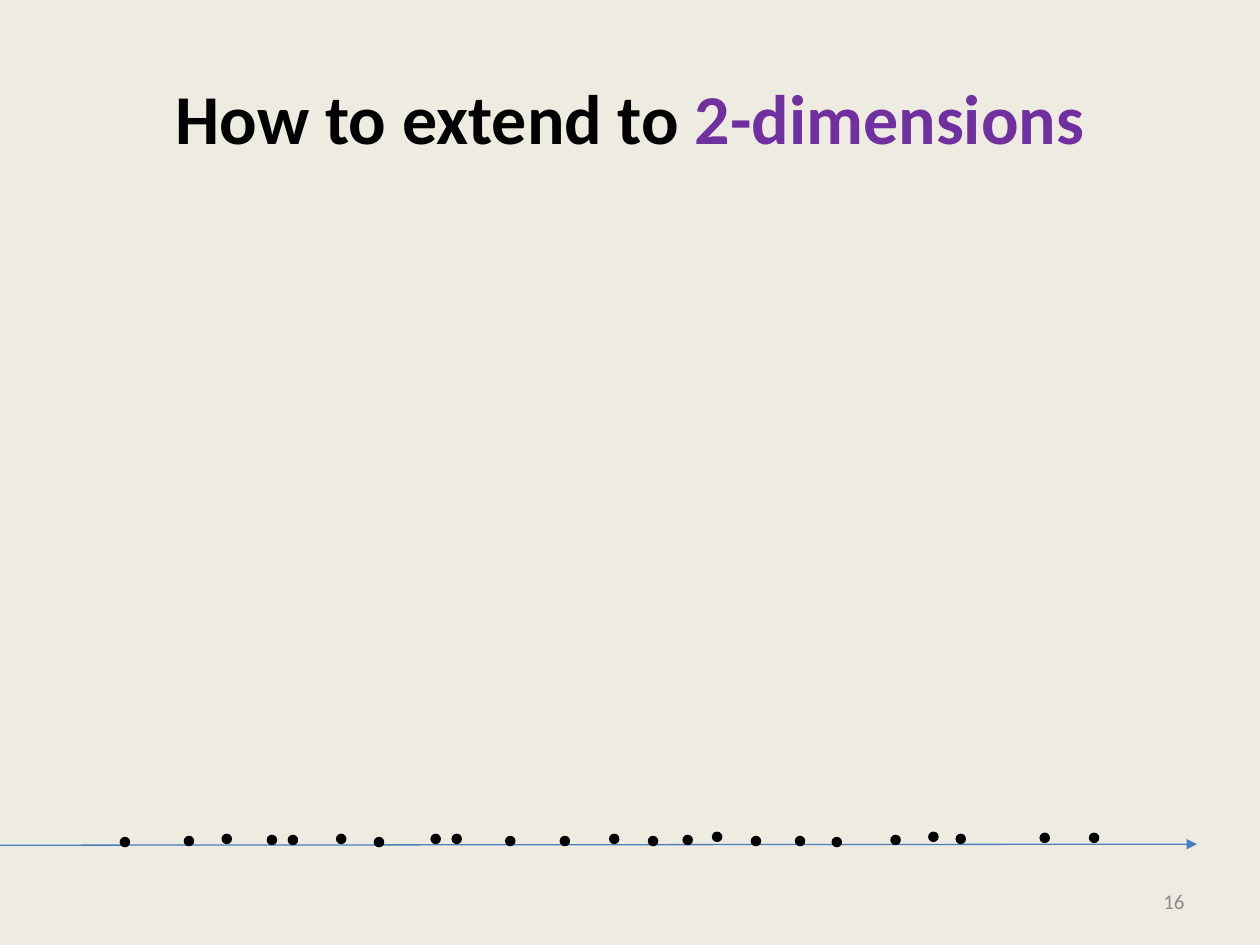
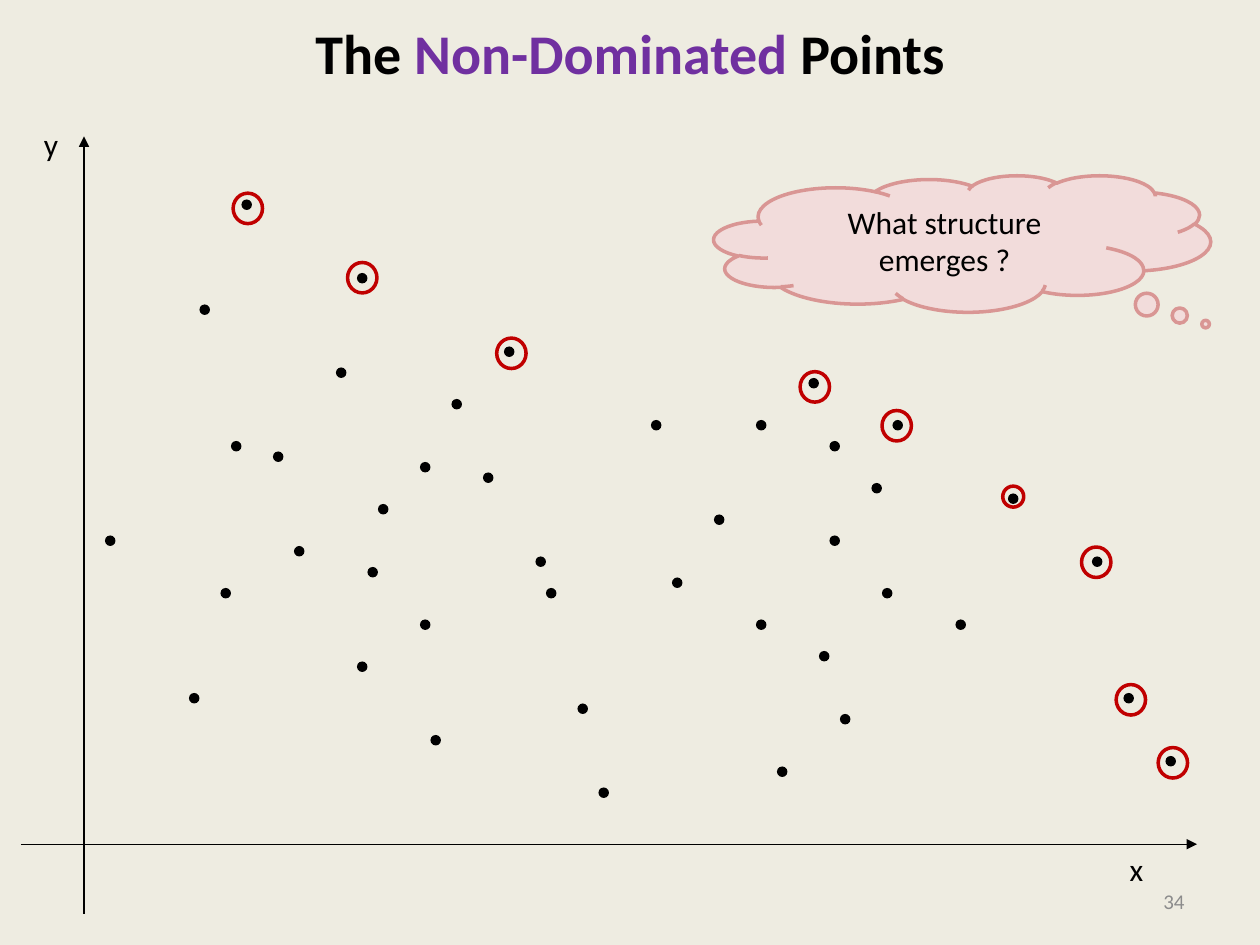
from dataclasses import dataclass

from lxml import etree
from pptx import Presentation
from pptx.dml.color import RGBColor
from pptx.enum.shapes import MSO_CONNECTOR, MSO_SHAPE
from pptx.enum.text import MSO_ANCHOR, MSO_AUTO_SIZE, PP_ALIGN
from pptx.oxml.ns import qn
from pptx.util import Emu, Pt

EMU_PER_PX = 7620  # 120 px to the inch
GRID = 10  # px between the grid lines of the point cloud
DOT_SIZE = 10
TITLE_ONLY = 5
FONT = "Calibri"

OVAL = MSO_SHAPE.OVAL
CLOUD = MSO_SHAPE.CLOUD_CALLOUT
STRAIGHT = MSO_CONNECTOR.STRAIGHT
LEFT, CENTER, RIGHT = PP_ALIGN.LEFT, PP_ALIGN.CENTER, PP_ALIGN.RIGHT
TOP, MIDDLE = MSO_ANCHOR.TOP, MSO_ANCHOR.MIDDLE

BACKGROUND = "EEECE1"
BLACK = "000000"
PURPLE = "7030A0"
GRAY = "8C8C8C"
BLUE = "4B7EBC"
RED = "C00000"
PINK = "F2DCDB"
ROSE = "D99694"


@dataclass(frozen=True)
class Box:
    left: int
    top: int
    width: int
    height: int

    def emu(self) -> tuple[Emu, ...]:
        return tuple(px(n) for n in (self.left, self.top, self.width, self.height))


@dataclass(frozen=True)
class Run:
    text: str
    color: str = BLACK


@dataclass(frozen=True)
class Axis:
    start: tuple[int, int]
    end: tuple[int, int]
    color: str = BLACK
    arrow: str = "tailEnd"


# Left and top of each dot along the single axis, in px
LINE_DOTS = [
    (114, 797), (175, 796), (211, 794), (254, 795), (274, 795), (320, 794),
    (356, 797), (410, 794), (430, 794), (481, 796), (533, 796), (580, 794),
    (617, 796), (650, 795), (678, 792), (715, 796), (757, 796), (792, 797),
    (848, 795), (884, 792), (910, 794), (990, 793), (1037, 793),
]

# Column and row of each dot in the plane, in grid steps
PLANE_DOTS = [
    (10, 51), (18, 66), (19, 29), (21, 56), (22, 42), (23, 19), (26, 43),
    (28, 52), (32, 35), (34, 26), (34, 63), (35, 54), (36, 48), (40, 44),
    (40, 59), (41, 70), (43, 38), (46, 45), (48, 33), (51, 53), (52, 56),
    (55, 67), (57, 75), (62, 40), (64, 55), (68, 49), (72, 40), (72, 59),
    (74, 73), (77, 36), (78, 62), (79, 42), (79, 51), (80, 68), (83, 46),
    (84, 56), (85, 40), (91, 59), (96, 47), (104, 53), (107, 66), (111, 72),
]

# Rings around the non-dominated points; one is smaller
RING_CORNERS = [
    (222, 184), (331, 250), (473, 322), (762, 354),
    (840, 391), (1030, 521), (1063, 652), (1103, 712),
]
RINGS = [Box(left, top, 28, 29) for left, top in RING_CORNERS]
RINGS.append(Box(955, 463, 20, 20))


def px(length: int) -> Emu:
    return Emu(length * EMU_PER_PX)


def rgb(color: str) -> RGBColor:
    return RGBColor.from_string(color)


def write_text(shape, runs: list[Run], *, size: int, bold: bool = False,
               align=LEFT, anchor=MIDDLE, wrap: bool = True) -> None:
    frame = shape.text_frame
    frame.word_wrap = wrap
    frame.auto_size = MSO_AUTO_SIZE.NONE if wrap else MSO_AUTO_SIZE.SHAPE_TO_FIT_TEXT
    frame.vertical_anchor = anchor
    paragraph = frame.paragraphs[0]
    paragraph.alignment = align
    for item in runs:
        run = paragraph.add_run()
        run.text = item.text
        run.font.name = FONT
        run.font.size = Pt(size)
        run.font.bold = bold
        run.font.color.rgb = rgb(item.color)


def add_text(slide, box: Box, run: Run, **text_format) -> None:
    write_text(slide.shapes.add_textbox(*box.emu()), [run], **text_format)


def add_figure(slide, kind, box: Box, *, fill: str = "", line: str = ""):
    shape = slide.shapes.add_shape(kind, *box.emu())
    shape.shadow.inherit = False
    if fill:
        shape.fill.solid()
        shape.fill.fore_color.rgb = rgb(fill)
    else:
        shape.fill.background()
    if line:
        shape.line.color.rgb = rgb(line)
        shape.line.width = Pt(2)
    else:
        shape.line.fill.background()
    return shape


def add_dot(slide, left: int, top: int) -> None:
    add_figure(slide, OVAL, Box(left, top, DOT_SIZE, DOT_SIZE), fill=BLACK)


def add_axis(slide, axis: Axis) -> None:
    ends = [px(n) for n in (*axis.start, *axis.end)]
    connector = slide.shapes.add_connector(STRAIGHT, *ends)
    connector.line.color.rgb = rgb(axis.color)
    connector.line.width = Pt(0.75)
    arrow = etree.SubElement(connector.line._get_or_add_ln(), qn(f"a:{axis.arrow}"))
    arrow.set("type", "triangle")
    etree.SubElement(connector._element.spPr, qn("a:effectLst"))


def add_slide(presentation, title_box: Box, title: list[Run], size: int, number: str):
    slide = presentation.slides.add_slide(presentation.slide_layouts[TITLE_ONLY])
    heading = slide.shapes.title
    heading.left, heading.top, heading.width, heading.height = title_box.emu()
    write_text(heading, title, size=size, bold=True, align=CENTER)
    add_text(slide, Box(860, 834, 280, 48), Run(number, GRAY), size=12, align=RIGHT)
    return slide


def build_line_slide(presentation) -> None:
    title = [Run("How to extend to "), Run("2-dimensions", PURPLE)]
    slide = add_slide(presentation, Box(60, 36, 1080, 150), title, 40, "16")
    add_axis(slide, Axis((-30, 805), (1140, 804), BLUE))
    for left, top in LINE_DOTS:
        add_dot(slide, left, top)


def build_plane_slide(presentation) -> None:
    title = [Run("The "), Run("Non-Dominated ", PURPLE), Run("Points")]
    slide = add_slide(presentation, Box(60, 14, 1080, 72), title, 32, "34")
    for column, row in PLANE_DOTS:
        add_dot(slide, column * GRID, row * GRID)

    # Axes and their names
    add_axis(slide, Axis((80, 130), (80, 870), arrow="headEnd"))
    add_axis(slide, Axis((20, 804), (1140, 804)))
    for name, box in (("y", Box(30, 113, 38, 48)), ("x", Box(1064, 804, 37, 48))):
        add_text(slide, box, Run(name), size=18, anchor=TOP, wrap=False)

    for ring in RINGS:
        add_figure(slide, OVAL, ring, line=RED)

    # Question in the thought cloud
    cloud = add_figure(slide, CLOUD, Box(680, 167, 473, 130), fill=PINK, line=ROSE)
    cloud.adjustments[0] = 0.49
    cloud.adjustments[1] = 0.59
    write_text(cloud, [Run("What structure emerges ?")], size=18, align=CENTER)


def main() -> None:
    presentation = Presentation()
    presentation.slide_width, presentation.slide_height = px(1200), px(900)
    background = presentation.slide_master.background.fill
    background.solid()
    background.fore_color.rgb = rgb(BACKGROUND)
    build_line_slide(presentation)
    build_plane_slide(presentation)
    presentation.save("out.pptx")


if __name__ == "__main__":
    main()
